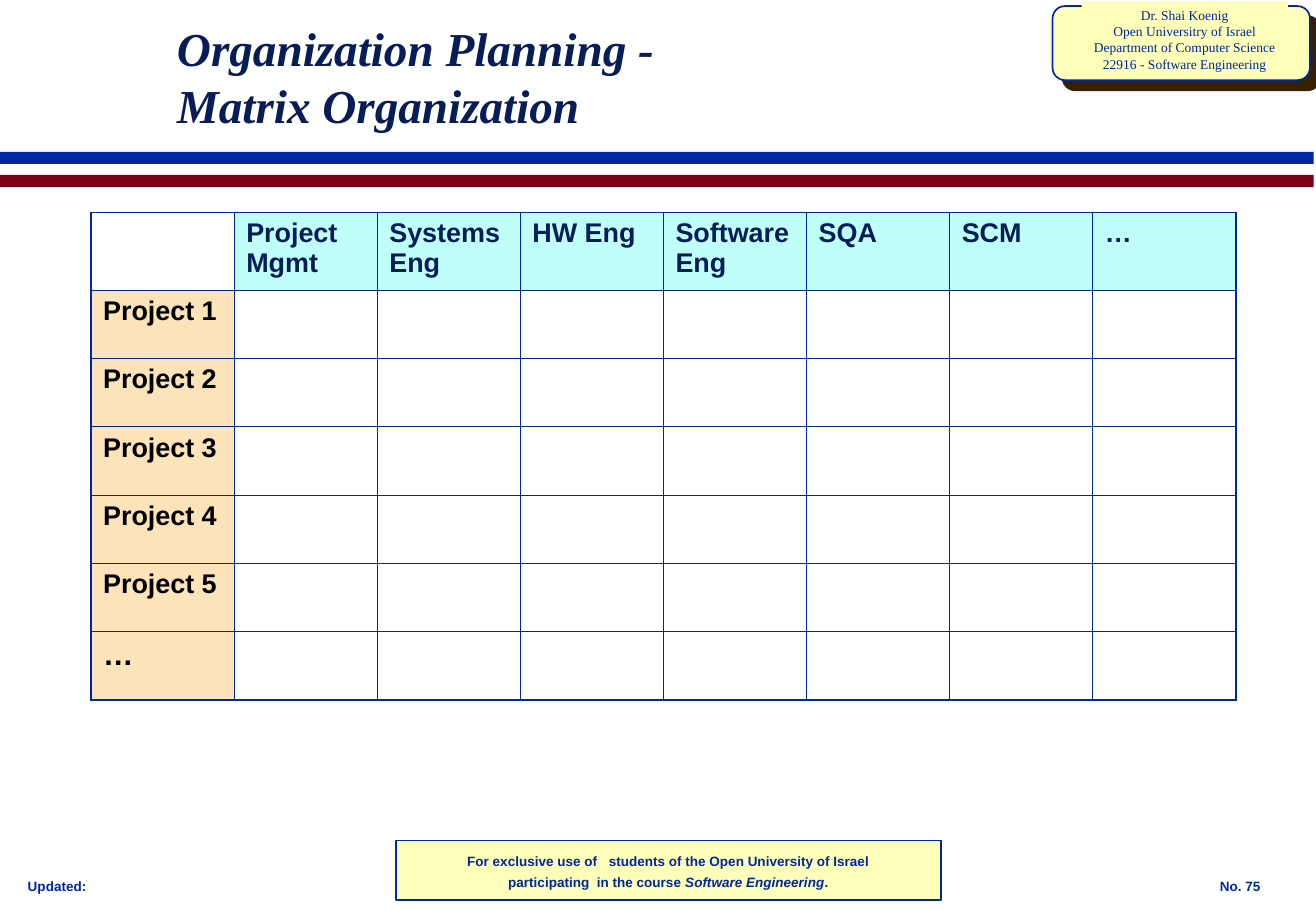
from dataclasses import dataclass

from lxml import etree
from pptx import Presentation
from pptx import util as u
from pptx.dml import color
from pptx.enum import shapes, text
from pptx.oxml import ns


@dataclass(frozen=True)
class Theme:
    blue: str = "00279F"
    navy: str = "081D58"
    maroon: str = "790015"
    black: str = "000000"
    brown: str = "372000"
    cream: str = "FCFEB9"
    aqua: str = "C0FEF9"
    peach: str = "FDE3BA"
    serif: str = "Times New Roman"
    sans: str = "Arial"
    title: float = 28
    label: float = 16
    ellipsis: float = 18
    small: float = 8
    gap: float = 24
    hairline: float = 0.45
    frame: float = 1.08


@dataclass(frozen=True)
class Area:
    """A place on the slide grid: column, row, columns wide, rows high."""
    col: float
    row: float
    cols: float
    rows: float


@dataclass(frozen=True)
class Panel:
    area: Area
    fill: str
    outlined: bool = False
    preset: int = shapes.MSO_SHAPE.RECTANGLE


@dataclass(frozen=True)
class Note:
    words: str
    area: Area


THEME = Theme()
GRID_COLS, GRID_ROWS = 108.4, 75

PANELS = [
    Panel(Area(32.6, 69.2, 44.9, 4.9), THEME.cream, outlined=True),
    Panel(Area(0, 12.5, 108.2, 1), THEME.blue),
    Panel(Area(0, 14.4, 108.2, 1), THEME.maroon),
]
COURSE_CARD = Panel(Area(86.7, 0.5, 21.2, 6.1), THEME.cream, outlined=True,
                    preset=shapes.MSO_SHAPE.ROUNDED_RECTANGLE)
COURSE_LABEL = Panel(Area(89.1, 0.1, 17, 6.3), THEME.cream)
COURSE_LINES = ["Dr. Shai Koenig", "Open Universitry of Israel",
                "Department of Computer Science", "22916 - Software Engineering"]
CORNER_NOTES = [Note("Updated:", Area(1.3, 71.8, 11.5, 2.3)),
                Note("No. 75", Area(99.5, 71.8, 8.9, 2.3))]
USAGE_AREA = Area(33.3, 67.5, 43.5, 6.4)
TITLE_AREA = Area(13.6, 0, 85, 12.5)

MATRIX_AREA = Area(7.5, 17.5, 94.3, 40.1)
HEADER_ROWS, PROJECT_ROWS = 6.4, 5.62
DISCIPLINES = ["Project Mgmt", "Systems Eng", "HW Eng", "Software Eng", "SQA", "SCM", "…"]
PROJECTS = [f"Project {number}" for number in range(1, 6)] + ["…"]

prs = Presentation()
prs.slide_width, prs.slide_height = u.Inches(10.84), u.Inches(7.5)
slide = prs.slides.add_slide(prs.slide_layouts[6])


def across(cols: float) -> int:
    return round(prs.slide_width * cols / GRID_COLS)


def down(rows: float) -> int:
    return round(prs.slide_height * rows / GRID_ROWS)


def place(area: Area) -> tuple[int, int, int, int]:
    return across(area.col), down(area.row), across(area.cols), down(area.rows)


def rgb(code: str) -> color.RGBColor:
    return color.RGBColor.from_string(code)


def write(paragraph, words: str, *, size: float = THEME.small, font: str = THEME.sans,
          ink: str = THEME.blue, bold: bool = True, italic: bool = False) -> None:
    run = paragraph.add_run()
    run.text = words
    run.font.size, run.font.name = u.Pt(size), font
    run.font.bold, run.font.italic = bold, italic
    run.font.color.rgb = rgb(ink)


def draw_panel(panel: Panel):
    shape = slide.shapes.add_shape(panel.preset, *place(panel.area))
    shape.shadow.inherit = False
    shape.fill.solid()
    shape.fill.fore_color.rgb = rgb(panel.fill)
    if panel.outlined:
        shape.line.color.rgb = rgb(THEME.blue)
        shape.line.width = u.Pt(1)
    else:
        shape.line.fill.background()
    return shape


def cast_shadow(shape, ink: str, distance: float, angle: int) -> None:
    effects = shape.element.spPr.find(ns.qn("a:effectLst"))
    shadow = etree.SubElement(effects, ns.qn("a:outerShdw"), blurRad="0",
                              dist=str(u.Pt(distance)), dir=str(angle * 60000),
                              algn="ctr", rotWithShape="0")
    etree.SubElement(shadow, ns.qn("a:srgbClr"), val=ink)


def add_text_area(area: Area):
    frame = slide.shapes.add_textbox(*place(area)).text_frame
    frame.word_wrap = True
    return frame


def draw_border(cell, side: str, width: float) -> None:
    line = etree.SubElement(cell._tc.get_or_add_tcPr(), ns.qn(f"a:ln{side}"),
                            w=str(u.Pt(width)))
    fill = etree.SubElement(line, ns.qn("a:solidFill"))
    etree.SubElement(fill, ns.qn("a:srgbClr"), val=THEME.blue)


def draw_matrix() -> None:
    row_count, col_count = len(PROJECTS) + 1, len(DISCIPLINES) + 1
    matrix = slide.shapes.add_table(row_count, col_count, *place(MATRIX_AREA)).table
    matrix.first_row = matrix.horz_banding = False
    for column in matrix.columns:
        column.width = across(MATRIX_AREA.cols / col_count)
    for r, row in enumerate(matrix.rows):
        row.height = down(PROJECT_ROWS if r else HEADER_ROWS)
        for c, cell in enumerate(row.cells):
            outer = {"L": c == 0, "R": c == col_count - 1,
                     "T": r == 0, "B": r == row_count - 1}
            for side, on_edge in outer.items():
                draw_border(cell, side, THEME.frame if on_edge else THEME.hairline)
            paragraph = cell.text_frame.paragraphs[0]
            if (r == 0) == (c == 0):
                cell.fill.background()
                continue
            cell.fill.solid()
            if r == 0:
                cell.fill.fore_color.rgb = rgb(THEME.aqua)
                write(paragraph, DISCIPLINES[c - 1], size=THEME.label, ink=THEME.navy)
            else:
                cell.fill.fore_color.rgb = rgb(THEME.peach)
                size = THEME.ellipsis if outer["B"] else THEME.label
                write(paragraph, PROJECTS[r - 1], size=size, ink=THEME.black)


# Footer panel and the two stripes
for panel in PANELS:
    draw_panel(panel)

# Course card in the top right corner
cast_shadow(draw_panel(COURSE_CARD), THEME.brown, distance=8.5, angle=45)
course = draw_panel(COURSE_LABEL).text_frame
course.word_wrap = False
for index, words in enumerate(COURSE_LINES):
    line = course.add_paragraph() if index else course.paragraphs[0]
    line.alignment = text.PP_ALIGN.CENTER
    write(line, words, font=THEME.serif, bold=False)

# Footer texts
for note in CORNER_NOTES:
    write(add_text_area(note.area).paragraphs[0], note.words)

usage = add_text_area(USAGE_AREA)
audience, course_name = usage.paragraphs[0], usage.add_paragraph()
audience.alignment = course_name.alignment = text.PP_ALIGN.CENTER
write(audience, "For exclusive use of")
write(audience, " ", size=THEME.gap)
write(audience, "students of the Open University of Israel")
write(course_name, "participating  in the course ")
write(course_name, "Software Engineering", italic=True)
write(course_name, ".")

# Title
title = add_text_area(TITLE_AREA)
title.vertical_anchor = text.MSO_ANCHOR.MIDDLE
heading = title.paragraphs[0]
title_format = dict(size=THEME.title, font=THEME.serif, ink=THEME.navy, italic=True)
write(heading, "Organization Planning -", **title_format)
heading.add_line_break()
write(heading, "Matrix Organization", **title_format)

# Projects by disciplines
draw_matrix()

prs.save("out.pptx")
